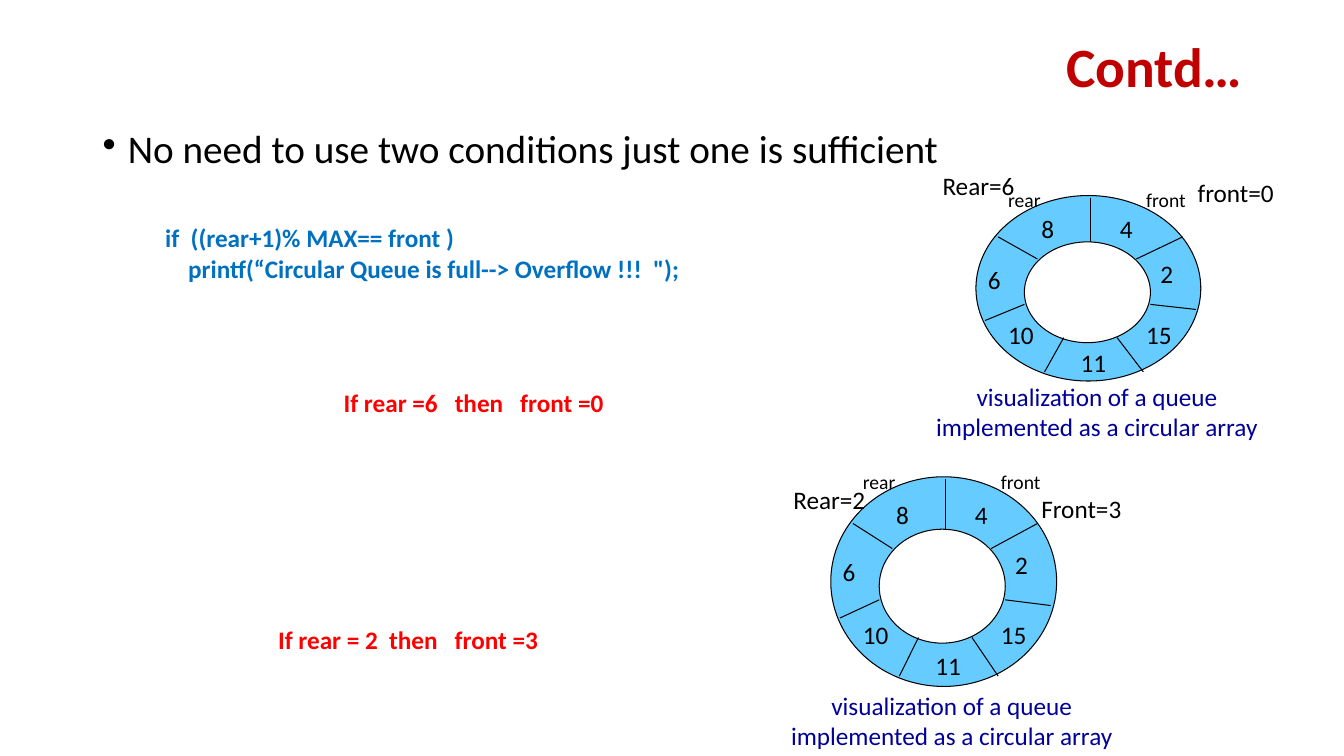
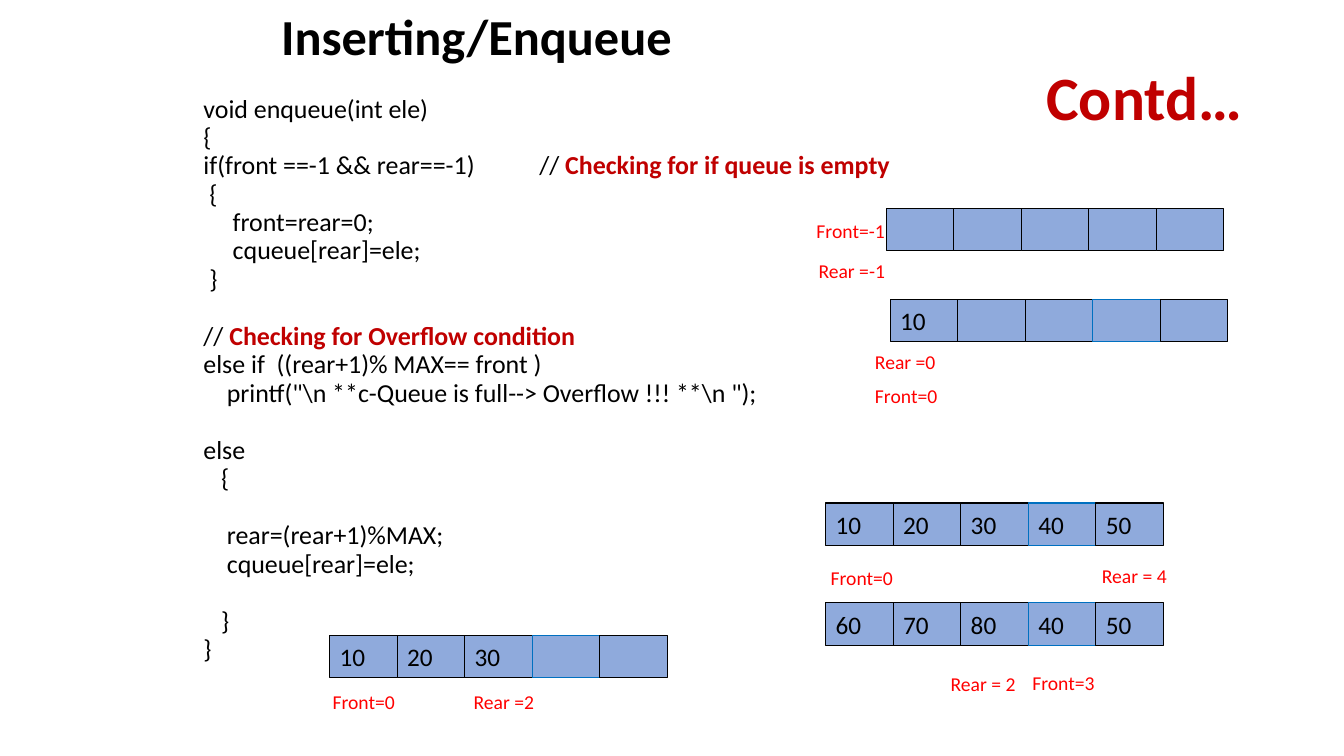
"""Build two slides about the circular queue: the full test and enqueue."""
from lxml import etree
from pptx import Presentation
from pptx import util as u
from pptx.dml.color import RGBColor
from pptx.enum import shapes, text
from pptx.oxml.ns import qn

PX = 9144
FONT = "Calibri"
COLORS = {
    "black": "000000", "white": "FFFFFF", "title": "C00000", "code": "0070C0",
    "label": "FF0000", "caption": "000099", "ring": "66CCFF", "cell": "8FAADC",
}

RING_HEIGHT = 184
HOLE = (48, 46, 125, 100)
SPOKES = [
    (114, 2, 114, 46), (140, 141, 166, 175), (159, 63, 205, 41),
    (173, 108, 218, 113), (87, 141, 68, 175), (48, 108, 9, 124), (22, 41, 61, 63),
]
SLOTS = [
    ("15", 159, 138), ("2", 173, 77), ("4", 133, 33), ("8", 55, 33),
    ("6", 2, 83), ("10", 22, 138), ("11", 94, 166),
]
POINTERS = [("rear", 22, 4), ("front", 159, 4)]
CAPTION = ["visualization of a queue", "implemented as a circular array"]
RINGS = [(968, 194, 223, 184), (824, 473, 224, 208)]
RING_NOTES = [
    ("Rear=6", 925, 184), ("front=0", 1178, 191),
    ("Rear=2", 777, 495), ("Front=3", 1023, 504),
]
CASES = [("If rear =6   then   front =0", 331, 399), ("If rear = 2  then   front =3", 266, 634)]
POINT = "No need to use two conditions just one is sufficient"
FULL_TEST = [
    (0, "if  ((rear+1)% MAX== front )"),
    (4, "printf(“Circular Queue is full--> Overflow !!!  \");"),
]

ENQUEUE = [
    (0, 0, "void enqueue(int ele)"),
    (0, 0, "{"),
    (0, 0, "if(front ==-1 && rear==-1)"),
    (0, 1, "{"),
    (0, 5, "front=rear=0;"),
    (0, 5, "cqueue[rear]=ele;"),
    (0, 1, "}"),
    (1, 0, ["// ", "Checking for Overflow condition"]),
    (0, 0, "else if  ((rear+1)% MAX== front )"),
    (0, 4, "printf(\"\\n **c-Queue is full--> Overflow !!! **\\n \");"),
    (1, 0, "else"),
    (0, 3, "{"),
    (1, 4, "rear=(rear+1)%MAX;"),
    (0, 4, "cqueue[rear]=ele;"),
    (1, 3, "}"),
    (0, 0, "}"),
]
EMPTY_COMMENT = ["// ", "Checking for if queue is empty"]
CELL_WIDTH, CELL_HEIGHT = 67, 42
ARRAYS = [
    (879, 207, ["", "", "", "", ""], None),
    (883, 297, ["10", "", "", "", ""], 3),
    (819, 499, ["10", "20", "30", "40", "50"], 3),
    (819, 598, ["60", "70", "80", "40", "50"], 3),
    (327, 630, ["10", "20", "30", "", ""], 3),
]
ARRAY_NOTES = [
    ("Front=-1", 800, 229), ("Rear =-1", 802, 269), ("Rear =0", 858, 359),
    ("Front=0", 858, 393), ("Front=0", 814, 573), ("Rear = 4", 1083, 571),
    ("Front=3", 1014, 677), ("Rear = 2", 933, 678), ("Front=0", 320, 696),
    ("Rear =2", 460, 696),
]


def px(*lengths):
    return [u.Emu(round(length * PX)) for length in lengths]


def rgb(name):
    return RGBColor.from_string(COLORS[name])


def write(shape, lines, size=18, color="black", bold=False, align="LEFT", anchor="MIDDLE", inset=(10, 5)):
    frame = shape.text_frame
    frame.word_wrap = True
    frame.vertical_anchor = getattr(text.MSO_ANCHOR, anchor)
    frame.margin_left = frame.margin_right = px(inset[0])[0]
    frame.margin_top = frame.margin_bottom = px(inset[1])[0]
    for index, line in enumerate(lines):
        paragraph = frame.add_paragraph() if index else frame.paragraphs[0]
        paragraph.alignment = getattr(text.PP_ALIGN, align)
        paragraph.font.name, paragraph.font.size = FONT, u.Pt(size)
        paragraph.font.bold, paragraph.font.color.rgb = bold, rgb(color)
        plain, *accents = [line] if isinstance(line, str) else line
        paragraph.add_run().text = plain
        for accent in accents:
            run = paragraph.add_run()
            run.text, run.font.bold = accent, True
            run.font.color.rgb = rgb("title")
    return frame.paragraphs


def add_text(slide, box, lines, **style):
    return write(slide.shapes.add_textbox(*px(*box)), lines, **style)


def add_label(slide, label, left, middle, width=120, **style):
    add_text(slide, (left, middle - 20, width, 40), [label], **style)


def add_title(slide, middle, size):
    add_text(slide, (92, middle - 25, 1150, 50), ["Contd…"], size=size,
             color="title", bold=True, align="RIGHT")


def indent(paragraph, left, hanging=0):
    properties = paragraph._p.get_or_add_pPr()
    properties.set("marL", str(px(left)[0]))
    properties.set("indent", str(px(-hanging)[0]))
    return properties


def add_outlined(slide, kind, box, fill, line="black"):
    shape = slide.shapes.add_shape(getattr(shapes.MSO_SHAPE, kind), *px(*box))
    shape.shadow.inherit = False
    shape.fill.solid()
    shape.fill.fore_color.rgb = rgb(fill)
    shape.line.color.rgb = rgb(line)
    shape.line.width = u.Pt(0.75)
    return shape


def add_spoke(slide, ends):
    spoke = slide.shapes.add_connector(shapes.MSO_CONNECTOR.STRAIGHT, *px(*ends))
    spoke.line.color.rgb = rgb("black")
    spoke.line.width = u.Pt(0.75)
    etree.SubElement(spoke._element.spPr, qn("a:effectLst"))


def add_ring(slide, left, top, width, height):
    stretch = height / RING_HEIGHT

    def place(x, y):
        return left + x, top + y * stretch

    add_outlined(slide, "OVAL", (left, top, width, height), "ring")
    hole_x, hole_y, hole_width, hole_height = HOLE
    add_outlined(slide, "OVAL", (*place(hole_x, hole_y), hole_width, hole_height * stretch), "white")
    for x1, y1, x2, y2 in SPOKES:
        add_spoke(slide, (*place(x1, y1), *place(x2, y2)))
    for labels, size in ((SLOTS, 18), (POINTERS, 14)):
        for label, x, y in labels:
            add_label(slide, label, *place(x, y), size=size)
    center, middle = place(120, 214)
    add_text(slide, (center - 180, middle - 30, 360, 60), CAPTION, color="caption", align="CENTER")


def add_array(slide, left, top, values, marked):
    for index, value in enumerate(values):
        box = (left + index * CELL_WIDTH, top, CELL_WIDTH, CELL_HEIGHT)
        cell = add_outlined(slide, "RECTANGLE", box, "cell", "code" if index == marked else "black")
        if value:
            write(cell, [value])


def build_full_test(slide):
    add_title(slide, 65, 39.6)
    point = add_text(slide, (92, 124, 1150, 60), [POINT], size=28, anchor="TOP")[0]
    point.line_spacing = 0.9
    bullet = etree.SubElement(indent(point, 25, 25), qn("a:buChar"))
    bullet.set("char", "•")
    code = add_text(slide, (54, 216, 782, 71), [line for _, line in FULL_TEST],
                    color="code", bold=True, anchor="TOP")
    for paragraph, (spaces, _) in zip(code, FULL_TEST):
        indent(paragraph, 100 + spaces * 5.7)
    for ring in RINGS:
        add_ring(slide, *ring)
    for label, left, middle in CASES:
        add_label(slide, label, left, middle, width=328, color="label", bold=True)
    for note in RING_NOTES:
        add_label(slide, *note)


def build_enqueue(slide):
    add_text(slide, (269, 10, 500, 50), ["Inserting/Enqueue"], size=36, bold=True)
    add_title(slide, 95, 44)
    code = add_text(slide, (92, 95, 760, 580), [line for *_, line in ENQUEUE], size=18.5, anchor="TOP")
    for paragraph, (blanks, spaces, _) in zip(code, ENQUEUE):
        indent(paragraph, 100 + spaces * 5.8)
        paragraph.line_spacing = 0.7
        paragraph.space_before = u.Pt(4.7 + 20.5 * blanks)
    add_text(slide, (535, 147, 400, 31), [EMPTY_COMMENT], size=18.5, anchor="TOP", inset=(0, 0))
    for array in ARRAYS:
        add_array(slide, *array)
    for note in ARRAY_NOTES:
        add_label(slide, *note, size=14, color="label")


def main():
    presentation = Presentation()
    presentation.slide_width, presentation.slide_height = px(1333, 750)
    for build in (build_full_test, build_enqueue):
        build(presentation.slides.add_slide(presentation.slide_layouts[6]))
    presentation.save("out.pptx")


if __name__ == "__main__":
    main()
